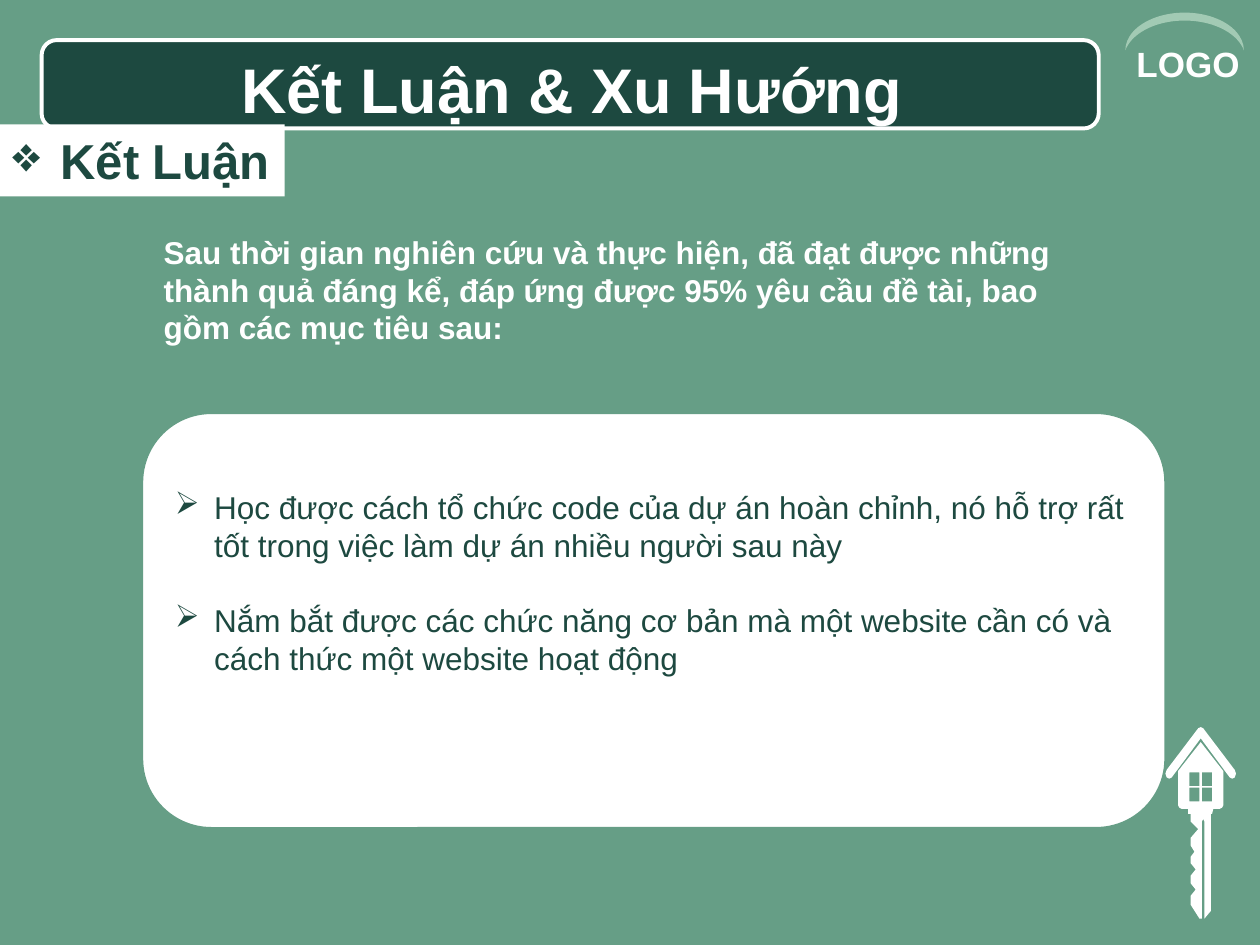
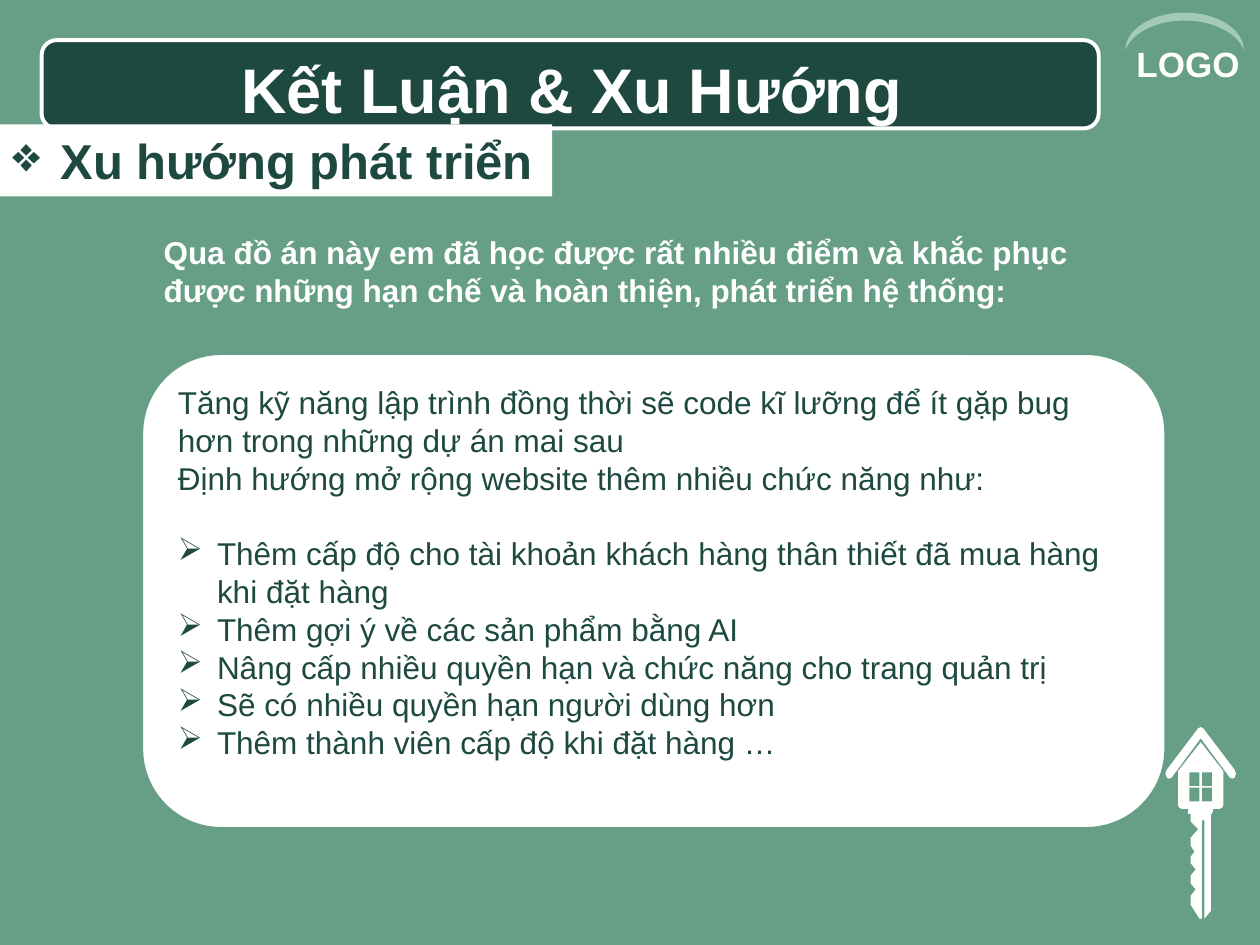
from itertools import product

from lxml.etree import SubElement
from pptx import Presentation
from pptx.dml.color import RGBColor
from pptx.enum.shapes import MSO_SHAPE as Preset
from pptx.enum.text import MSO_ANCHOR as Anchor, MSO_AUTO_SIZE as AutoSize, PP_ALIGN as Align
from pptx.oxml.ns import qn
from pptx.util import Cm, Pt

COLORS = {"background": "669E86", "dark": "1D4940", "white": "FFFFFF", "arc": "A2CAB4"}
FONT = "Arial"
TITLE_ONLY = 5
LINE = Pt(21.6)
INSET = Cm(0.13)
PANEL_BOTTOM = 16.69
TITLE = "Kết Luận & Xu Hướng"

KEY_UNIT = Cm(2.54) / 100
KEY_SHAFT = [
    (945, 646), (961, 646), (961, 723), (956, 729), (956, 652), (955, 650), (954, 652),
    (954, 729), (952, 729), (945, 718), (945, 711), (949, 706), (945, 701), (945, 695),
    (949, 690), (945, 685), (945, 680), (948, 676), (945, 671), (945, 665), (951, 658),
    (945, 652),
]
KEY_HOUSE = [
    (953, 589), (971, 612), (971, 639), (970, 641), (968, 642), (963, 642), (962, 646),
    (943, 646), (943, 642), (938, 642), (936, 641), (935, 639), (935, 612),
]
KEY_ROOF = [
    (953, 577), (955, 578), (980, 611), (981, 614), (980, 617), (978, 618), (976, 617),
    (953, 586), (930, 617), (928, 618), (926, 617), (925, 614), (926, 611), (951, 578),
]
KEY_PANES = [
    [(x, y), (x, y + 11), (x + 8, y + 11), (x + 8, y)]
    for x, y in product((944, 954), (613, 625))
]


def color(name):
    return RGBColor.from_string(COLORS[name])


def paint(shape, fill, line=None, line_width=0):
    shape.shadow.inherit = False
    shape.fill.solid()
    shape.fill.fore_color.rgb = color(fill)
    if line:
        shape.line.color.rgb = color(line)
        shape.line.width = Pt(line_width)
    else:
        shape.line.fill.background()


def add_block(slide, preset, left, top, width, height, fill, line=None, line_width=0):
    shape = slide.shapes.add_shape(preset, Cm(left), Cm(top), Cm(width), Cm(height))
    paint(shape, fill, line, line_width)
    return shape


def set_bullet(paragraph, character, indent):
    properties = paragraph._p.get_or_add_pPr()
    properties.set("marL", str(Cm(indent)))
    properties.set("indent", str(-Cm(indent)))
    SubElement(properties, qn("a:buChar")).set("char", character)


def write(paragraph, text, size, ink, bold=False, align=Align.LEFT):
    paragraph.alignment = align
    run = paragraph.add_run()
    run.text = text
    run.font.name = FONT
    run.font.size = Pt(size)
    run.font.bold = bold
    run.font.color.rgb = color(ink)


def next_paragraph(frame, index):
    return frame.add_paragraph() if index else frame.paragraphs[0]


def add_text(slide, left, top, width, height, lines, size):
    box = slide.shapes.add_textbox(Cm(left), Cm(top), Cm(width), Cm(height))
    frame = box.text_frame
    frame.word_wrap = True
    for index, line in enumerate(lines):
        write(next_paragraph(frame, index), line, size, "white", bold=True)


def add_key(slide):
    first, *others = [KEY_SHAFT, *KEY_PANES, KEY_HOUSE, KEY_ROOF]
    builder = slide.shapes.build_freeform(*first[0], scale=KEY_UNIT)
    builder.add_line_segments(first[1:], close=True)
    for outline in others:
        builder.move_to(*outline[0])
        builder.add_line_segments(outline[1:], close=True)
    paint(builder.convert_to_shape(), "white")


def add_frame(slide):
    bar = add_block(slide, Preset.ROUNDED_RECTANGLE, 0.84, 0.81, 21.31, 1.78, "dark", "white", 2.25)
    bar.adjustments[0] = 0.17
    add_text(slide, 22.66, 0.74, 2.74, 1.09, ["LOGO"], 20)
    arc = add_block(slide, Preset.MOON, 23.5, -0.56, 0.76, 2.39, "arc")
    arc.adjustments[0] = 0.21
    arc.rotation = 90
    add_key(slide)


def set_title(slide, text):
    title = slide.shapes.title
    title.left, title.top, title.width, title.height = Cm(1.27), Cm(0.89), Cm(20.52), Cm(1.57)
    frame = title.text_frame
    frame.auto_size = AutoSize.NONE
    frame.vertical_anchor = Anchor.TOP
    write(frame.paragraphs[0], text, 36, "white", bold=True, align=Align.CENTER)
    title.element.getparent().append(title.element)


def add_section_tag(slide, text, width):
    tag = add_block(slide, Preset.RECTANGLE, 0, 2.51, width, 1.45, "white")
    frame = tag.text_frame
    frame.word_wrap = False
    frame.vertical_anchor = Anchor.TOP
    set_bullet(frame.paragraphs[0], "❖", 0.97)
    write(frame.paragraphs[0], text, 28, "dark", bold=True)


def add_panel(slide, top, plain, bullets, bullet_gaps, lines_below):
    panel = add_block(slide, Preset.ROUNDED_RECTANGLE, 2.87, top, 20.62, PANEL_BOTTOM - top,
                      "white", "background", 1)
    frame = panel.text_frame
    frame.word_wrap = True
    frame.vertical_anchor = Anchor.MIDDLE
    frame.margin_bottom = INSET + lines_below * LINE
    for index, text in enumerate(plain + bullets):
        paragraph = next_paragraph(frame, index)
        if index >= len(plain):
            set_bullet(paragraph, "➢", 0.79)
        if index in bullet_gaps:
            paragraph.space_before = LINE
        write(paragraph, text, 18, "dark")


def add_content_slide(presentation, section, tag_width, intro, **panel):
    slide = presentation.slides.add_slide(presentation.slide_layouts[TITLE_ONLY])
    add_frame(slide)
    set_title(slide, TITLE)
    add_panel(slide, **panel)
    add_text(slide, 3.05, 4.57, 19.43, 2.57, intro, 18)
    add_section_tag(slide, section, tag_width)


def main():
    presentation = Presentation()
    presentation.slide_width, presentation.slide_height = Cm(25.4), Cm(19.05)
    background = presentation.slide_master.background.fill
    background.solid()
    background.fore_color.rgb = color("background")

    add_content_slide(
        presentation, "Kết Luận", 5.74,
        ["Sau thời gian nghiên cứu và thực hiện, đã đạt được những",
         "thành quả đáng kể, đáp ứng được 95% yêu cầu đề tài, bao gồm các mục tiêu sau:"],
        top=8.33,
        plain=[],
        bullets=[
            "Học được cách tổ chức code của dự án hoàn chỉnh, nó hỗ trợ rất tốt trong việc "
            "làm dự án nhiều người sau này",
            "Nắm bắt được các chức năng cơ bản mà một website cần có và cách thức một "
            "website hoạt động",
        ],
        bullet_gaps=[1],
        lines_below=2,
    )
    add_content_slide(
        presentation, "Xu hướng phát triển", 11.13,
        ["Qua đồ án này em đã học được rất nhiều điểm và khắc phục được những hạn chế và "
         "hoàn thiện, phát triển hệ thống:"],
        top=7.14,
        plain=[
            "Tăng kỹ năng lập trình đồng thời sẽ code kĩ lưỡng để ít gặp bug hơn trong những "
            "dự án mai sau",
            "Định hướng mở rộng website thêm nhiều chức năng như:",
        ],
        bullets=[
            "Thêm cấp độ cho tài khoản khách hàng thân thiết đã mua hàng khi đặt hàng",
            "Thêm gợi ý về các sản phẩm bằng AI",
            "Nâng cấp nhiều quyền hạn và chức năng cho trang quản trị",
            "Sẽ có nhiều quyền hạn người dùng hơn",
            "Thêm thành viên cấp độ khi đặt hàng …",
        ],
        bullet_gaps=[2],
        lines_below=1,
    )
    presentation.save("out.pptx")


if __name__ == "__main__":
    main()
